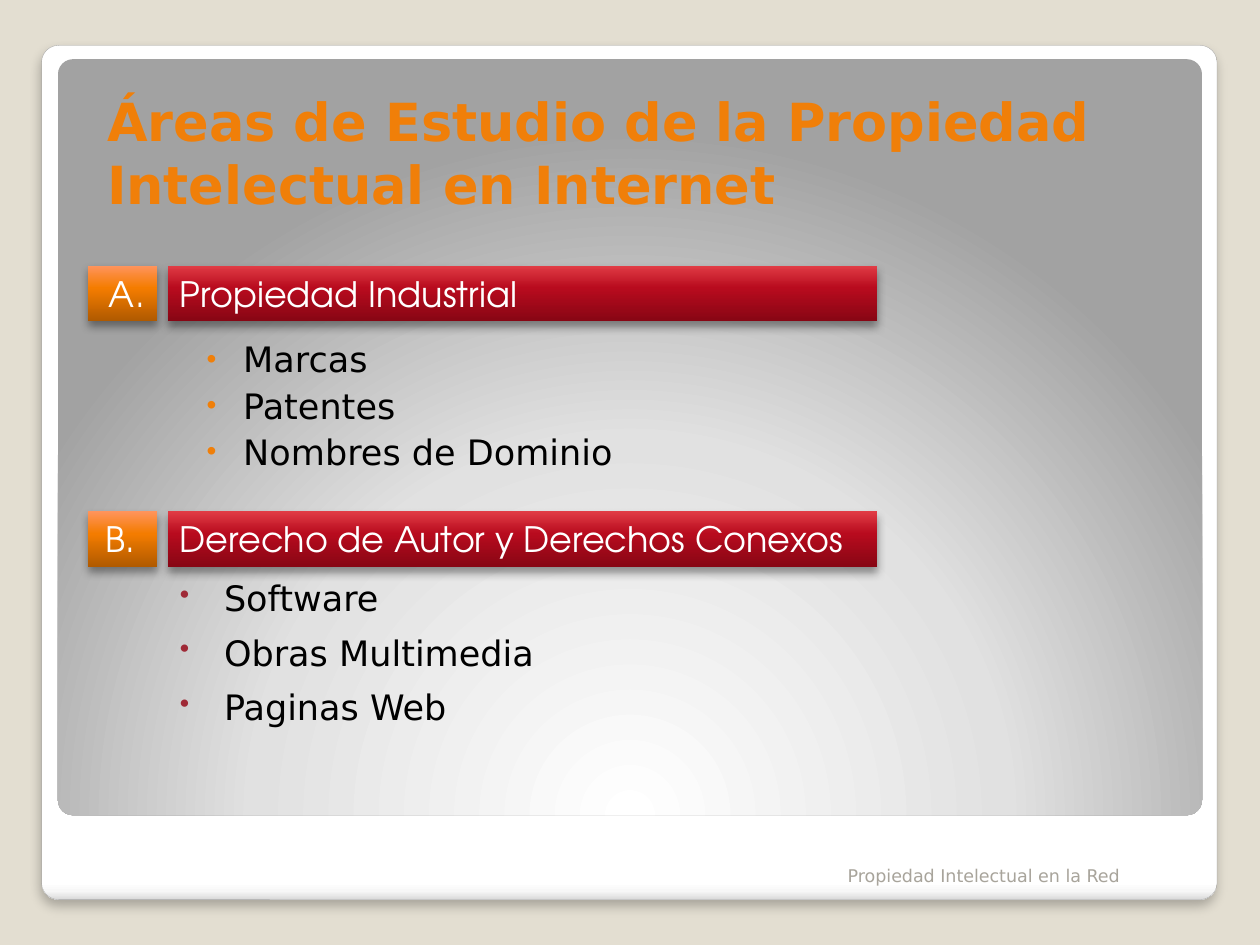
from dataclasses import dataclass

from lxml.etree import SubElement
from pptx import Presentation
from pptx.dml.color import RGBColor as RGB
from pptx.enum.shapes import MSO_SHAPE as Shape
from pptx.enum.text import MSO_ANCHOR as Anchor, MSO_AUTO_SIZE as AutoSize, PP_ALIGN as Align
from pptx.oxml import parse_xml
from pptx.oxml.ns import nsdecls, qn
from pptx.util import Inches, Pt

Box = tuple[float, float, float, float]
Stops = tuple[tuple[int, str], ...]


@dataclass(frozen=True)
class Theme:
    body_font: str = "DejaVu Sans"
    label_font: str = "TeX Gyre Adventor"
    title_size: int = 30
    text_size: int = 20
    footer_size: int = 10
    background: str = "E3DED1"
    accent: str = "F07F09"
    dark_red: str = "9F2936"
    text: str = "000000"
    light: str = "FFFFFF"
    footer: str = "A8A49B"
    edge: str = "A4A4A4"
    frame: Stops = ((0, "FFFFFF"), (98, "FFFFFF"), (99, "F7F7F7"), (100, "DADADA"))
    panel: Stops = ((0, "FFFFFF"), (55, "E1E1E1"), (100, "A2A2A2"))
    red: Stops = ((0, "870614"), (60, "B80B1E"), (100, "E13C45"))
    orange: Stops = ((0, "B05A00"), (60, "F47C00"), (100, "FF945C"))


@dataclass(frozen=True)
class Shadow:
    alpha: int
    blur: float
    dist: float


@dataclass(frozen=True)
class Section:
    letter: str
    heading: str
    top: float


@dataclass(frozen=True)
class BulletStyle:
    color: str
    indent: float
    before: float


THEME = Theme()
LINEAR = '<a:lin ang="{}" scaled="0"/>'
RADIAL = '<a:path path="circle"><a:fillToRect l="50000" t="175000" r="50000" b="-75000"/></a:path>'
DOWN, UP = LINEAR.format(5400000), LINEAR.format(16200000)
BAR_SHADOW = Shadow(40, 5.2, 3)
SECTIONS = (
    Section("A. ", "Propiedad Industrial", 2.11),
    Section("B. ", "Derecho de Autor y Derechos Conexos", 4.06),
)


def place(sp, box: Box) -> None:
    sp.left, sp.top, sp.width, sp.height = map(Inches, box)


def set_font(p, size: int, color: str, name: str = THEME.body_font, bold: bool = False) -> None:
    p.font.name, p.font.size, p.font.bold = name, Pt(size), bold
    p.font.color.rgb = RGB.from_string(color)


def add_block(slide, kind: Shape, box: Box, stops: Stops, direction: str,
              shadow: Shadow | None = None):
    """Add a gradient shape, with a downward shadow if one is given."""
    sp = slide.shapes.add_shape(kind, *map(Inches, box))
    sp.line.fill.background()
    sp.fill.background()
    marks = "".join(f'<a:gs pos="{pos * 1000}"><a:srgbClr val="{c}"/></a:gs>' for pos, c in stops)
    pr = sp.element.spPr
    pr.replace(pr.find(qn("a:noFill")), parse_xml(
        f'<a:gradFill {nsdecls("a")} rotWithShape="1"><a:gsLst>{marks}</a:gsLst>{direction}</a:gradFill>'))
    sp.shadow.inherit = False
    if shadow:
        pr.find(qn("a:effectLst")).append(parse_xml(
            f'<a:outerShdw {nsdecls("a")} blurRad="{Pt(shadow.blur)}" dist="{Pt(shadow.dist)}" '
            f'dir="5400000" algn="t" rotWithShape="0"><a:srgbClr val="000000">'
            f'<a:alpha val="{shadow.alpha * 1000}"/></a:srgbClr></a:outerShdw>'))
    return sp


def add_label(slide, box: Box, text: str, stops: Stops, align: Align) -> None:
    tf = add_block(slide, Shape.RECTANGLE, box, stops, UP, BAR_SHADOW).text_frame
    tf.word_wrap, tf.vertical_anchor = True, Anchor.TOP
    p = tf.paragraphs[0]
    p.text, p.alignment = text, align
    set_font(p, THEME.text_size, THEME.light, THEME.label_font)


def fill_list(tf, items: tuple[str, ...], style: BulletStyle) -> None:
    tf.word_wrap, tf.auto_size = True, AutoSize.NONE
    tf.text = "\n".join(items)
    for p in tf.paragraphs:
        p.space_before = Pt(style.before)
        pr = p._p.get_or_add_pPr()
        pr.set("marL", str(Inches(style.indent)))
        pr.set("indent", str(-Inches(style.indent)))
        SubElement(SubElement(pr, qn("a:buClr")), qn("a:srgbClr")).set("val", style.color)
        SubElement(pr, qn("a:buSzPct")).set("val", "80000")
        SubElement(pr, qn("a:buChar")).set("char", "•")
        set_font(p, THEME.text_size, THEME.text)


def add_panels(slide) -> None:
    """Draw the framed panel behind the placeholders."""
    frame = add_block(slide, Shape.ROUNDED_RECTANGLE, (0.33, 0.36, 9.33, 6.78),
                      THEME.frame, DOWN, Shadow(25, 6, 4))
    frame.line.color.rgb = RGB.from_string(THEME.edge)
    frame.line.width = Pt(0.16)
    panel = add_block(slide, Shape.ROUNDED_RECTANGLE, (0.46, 0.47, 9.08, 6), THEME.panel, RADIAL)
    for i, sp in enumerate((frame, panel)):
        sp.adjustments[0] = 0.02
        slide.shapes._spTree.insert(2 + i, sp.element)


def main() -> None:
    prs = Presentation()
    prs.slide_width, prs.slide_height = Inches(10), Inches(7.5)
    slide = prs.slides.add_slide(prs.slide_layouts[1])
    slide.background.fill.solid()
    slide.background.fill.fore_color.rgb = RGB.from_string(THEME.background)
    add_panels(slide)

    # Title
    title = slide.shapes.title
    place(title, (0.75, 0.76, 8.56, 1))
    tf = title.text_frame
    tf.text = "Áreas de Estudio de la Propiedad Intelectual en Internet"
    tf.vertical_anchor, tf.auto_size = Anchor.BOTTOM, AutoSize.NONE
    tf.paragraphs[0].alignment = Align.LEFT
    set_font(tf.paragraphs[0], THEME.title_size, THEME.accent, bold=True)

    # First list
    body = slide.placeholders[1]
    place(body, (1.44, 2.58, 5.67, 1.33))
    body.text_frame.margin_left, body.text_frame.margin_top = Inches(0.2), Inches(0.1)
    fill_list(body.text_frame, ("Marcas", "Patentes", "Nombres de Dominio"),
              BulletStyle(THEME.accent, 0.29, 2.5))

    # Footer
    footer = slide.shapes.add_textbox(*map(Inches, (6.63, 6.68, 2.5, 0.4))).text_frame
    footer.word_wrap, footer.vertical_anchor = True, Anchor.BOTTOM
    footer.text = "Propiedad Intelectual en la Red"
    set_font(footer.paragraphs[0], THEME.footer_size, THEME.footer)

    # Section headings
    for s in SECTIONS:
        add_label(slide, (1.33, s.top, 5.63, 0.44), s.heading, THEME.red, Align.LEFT)
        add_label(slide, (0.7, s.top, 0.55, 0.44), s.letter, THEME.orange, Align.RIGHT)

    # Second list
    works = slide.shapes.add_textbox(*map(Inches, (1.33, 4.53, 5.67, 1.33)))
    fill_list(works.text_frame, ("Software", "Obras Multimedia", "Paginas Web"),
              BulletStyle(THEME.dark_red, 0.35, 7))

    prs.save("out.pptx")


if __name__ == "__main__":
    main()
